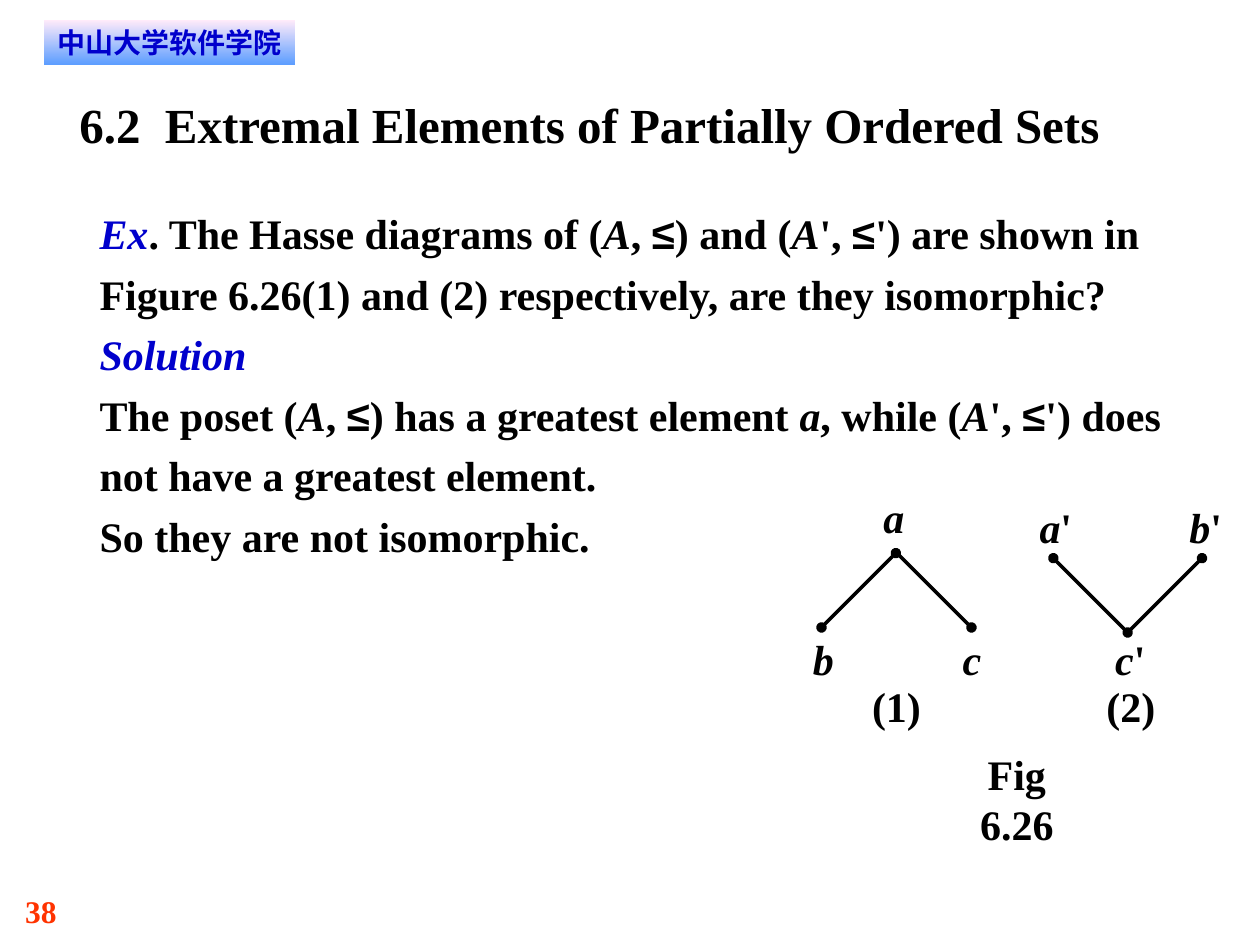
import pptx
import pptx.dml.color
import pptx.enum.dml
import pptx.enum.shapes
import pptx.enum.text
import pptx.oxml.ns
import pptx.util
from lxml import etree
from pptx.util import Inches

RGBColor = pptx.dml.color.RGBColor
BLACK = RGBColor(0x00, 0x00, 0x00)
BLUE = RGBColor(0x00, 0x00, 0xCC)
ORANGE = RGBColor(0xFF, 0x33, 0x00)
PALE_PINK = RGBColor(0xFF, 0xEB, 0xFA)
SKY_BLUE = RGBColor(0x5E, 0x9E, 0xFF)

CENTER = pptx.enum.text.PP_ALIGN.CENTER
LEFT = pptx.enum.text.PP_ALIGN.LEFT
BASE = {"name": "Times New Roman", "size": pptx.util.Pt(24), "bold": True, "italic": False}
ITALIC = {"italic": True}
SYMBOL = {"name": "Arial"}
HEADING = {"italic": True, "color": BLUE}


def write(box, paragraphs, align=LEFT, wrap=True, spacing=None, margins=(0, 0)):
    """Fill a shape with paragraphs, each a list of (text, format changes) runs."""
    frame = box.text_frame
    frame.word_wrap = wrap
    frame.vertical_anchor = pptx.enum.text.MSO_ANCHOR.TOP
    frame.margin_left = frame.margin_right = Inches(margins[0])
    frame.margin_top = frame.margin_bottom = Inches(margins[1])
    for number, runs in enumerate(paragraphs):
        paragraph = frame.add_paragraph() if number else frame.paragraphs[0]
        paragraph.alignment = align
        paragraph.line_spacing = spacing
        for text, changes in runs:
            run = paragraph.add_run()
            run.text = text
            formats = {**BASE, "color": BLACK, **changes}
            run.font.color.rgb = formats.pop("color")
            for attribute, value in formats.items():
                setattr(run.font, attribute, value)


def add_edge(group, start, end, dots):
    """Draw a Hasse diagram edge with a dot at each end named in dots."""
    edge = group.shapes.add_connector(
        pptx.enum.shapes.MSO_CONNECTOR.STRAIGHT, *map(Inches, start + end))
    edge.line.color.rgb = BLACK
    edge.line.width = pptx.util.Pt(2)
    line = edge.line._get_or_add_ln()
    for dot in dots:
        etree.SubElement(line, pptx.oxml.ns.qn("a:" + dot), type="oval")
    etree.SubElement(edge._element.spPr, pptx.oxml.ns.qn("a:effectLst"))


deck = pptx.Presentation()
deck.slide_width, deck.slide_height = Inches(10), Inches(7.5)
slide = deck.slides.add_slide(deck.slide_layouts[6])
shapes = slide.shapes

page_number = shapes.add_textbox(Inches(0.2), Inches(7.08), Inches(0.75), Inches(0.3))
write(page_number, [[("38", {"size": pptx.util.Pt(18), "color": ORANGE})]])

school = shapes.add_shape(pptx.enum.shapes.MSO_SHAPE.RECTANGLE,
                          Inches(0.35), Inches(0.16), Inches(1.99), Inches(0.35))
school.shadow.inherit = False
school.line.fill.background()
school.fill.gradient()
school.fill.gradient_angle = 270
for stop, color in zip(school.fill.gradient_stops, (PALE_PINK, SKY_BLUE)):
    stop.color.rgb = color
write(school, [[("中山大学软件学院",
                 {"name": "DejaVu Sans", "size": pptx.util.Pt(16), "color": BLUE})]],
      align=CENTER, margins=(0.08, 0.04))

title = shapes.add_textbox(Inches(0.63), Inches(0.75), Inches(8.75), Inches(0.47))
write(title, [[("6.2  Extremal Elements of Partially Ordered Sets",
                {"size": pptx.util.Pt(28)})]])

example = shapes.add_textbox(Inches(0.79), Inches(1.57), Inches(8.76), Inches(2.88))
write(example, [
    [("Ex", HEADING), (". The Hasse diagrams of (", {}), ("A", ITALIC), (", ", {}),
     ("≤", SYMBOL), (") and (", {}), ("A", ITALIC), ("', ", {}), ("≤", SYMBOL),
     ("') are shown in Figure 6.26(1) and (2) respectively, are they isomorphic?", {})],
    [("Solution", HEADING)],
    [("The poset (", {}), ("A", ITALIC), (", ", {}), ("≤", SYMBOL),
     (") has a greatest element ", {}), ("a", ITALIC), (", while (", {}), ("A", ITALIC),
     ("', ", {}), ("≤", SYMBOL), ("') does not have a greatest element.", {})],
    [("So they are not isomorphic.", {})],
], spacing=1.2)

# Each diagram: vertex labels (letter, prime, left, top, width), then edges
diagrams = [
    ([("b", "", 6.45, 5.03, 0.17), ("c", "", 7.64, 5.03, 0.15), ("a", "", 7.01, 3.9, 0.17)],
     [((6.52, 4.98), (7.11, 4.39), ["headEnd", "tailEnd"]),
      ((7.71, 4.98), (7.12, 4.39), ["headEnd"])]),
    ([("b", "'", 9.44, 3.98, 0.26), ("c", "'", 8.85, 5.03, 0.24), ("a", "'", 8.25, 3.98, 0.26)],
     [((8.95, 5.02), (9.54, 4.43), ["tailEnd"]),
      ((8.95, 5.02), (8.36, 4.43), ["headEnd", "tailEnd"])]),
]
for vertices, edges in diagrams:
    diagram = shapes.add_group_shape()
    for letter, prime, left, top, width in vertices:
        vertex = diagram.shapes.add_textbox(
            Inches(left), Inches(top), Inches(width), Inches(0.4))
        runs = [(letter, ITALIC)] + ([(prime, {})] if prime else [])
        write(vertex, [runs], align=CENTER, wrap=False)
    for start, end, dots in edges:
        add_edge(diagram, start, end, dots)

captions = [("Fig 6.26", 7.52, 5.94, 1.1, 0.8),
            ("(1)", 6.92, 5.4, 0.39, 0.4),
            ("(2)", 8.78, 5.4, 0.39, 0.4)]
for text, *place in captions:
    caption = shapes.add_textbox(*map(Inches, place))
    write(caption, [[(text, {})]], align=CENTER)

deck.save("out.pptx")
